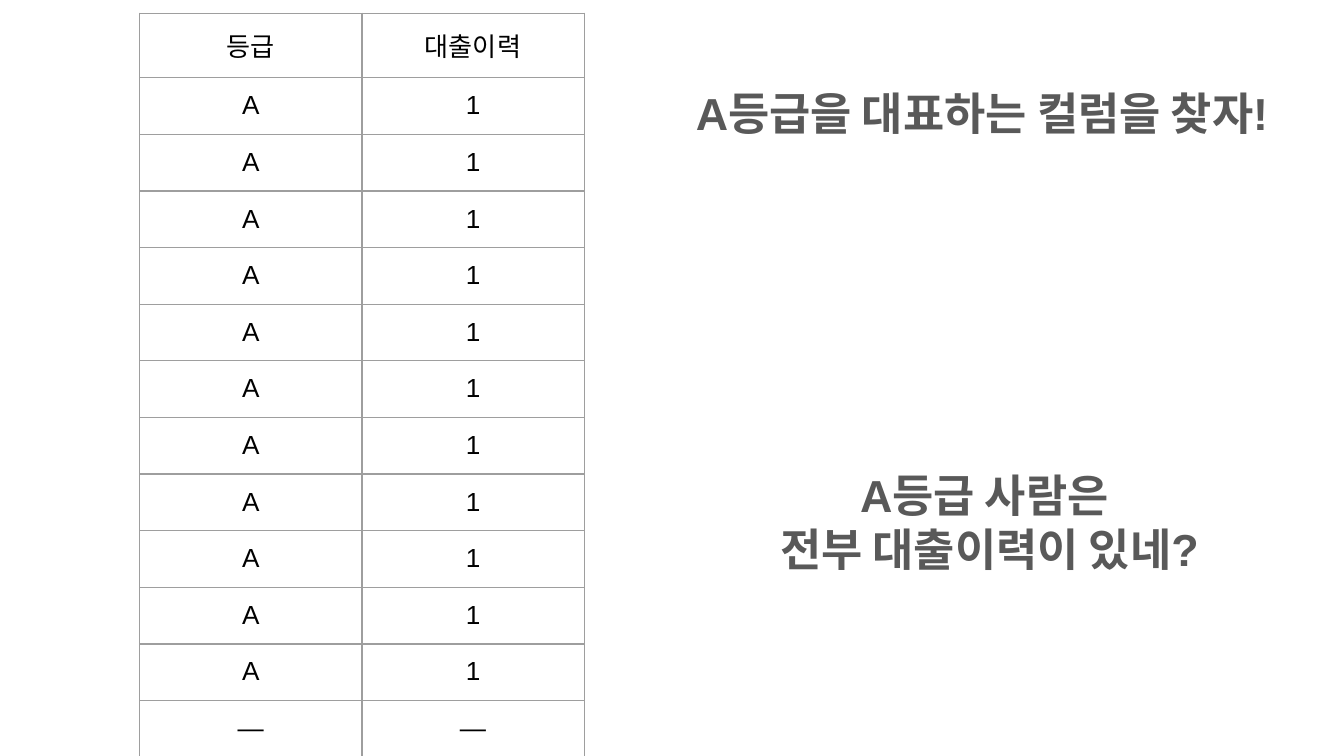
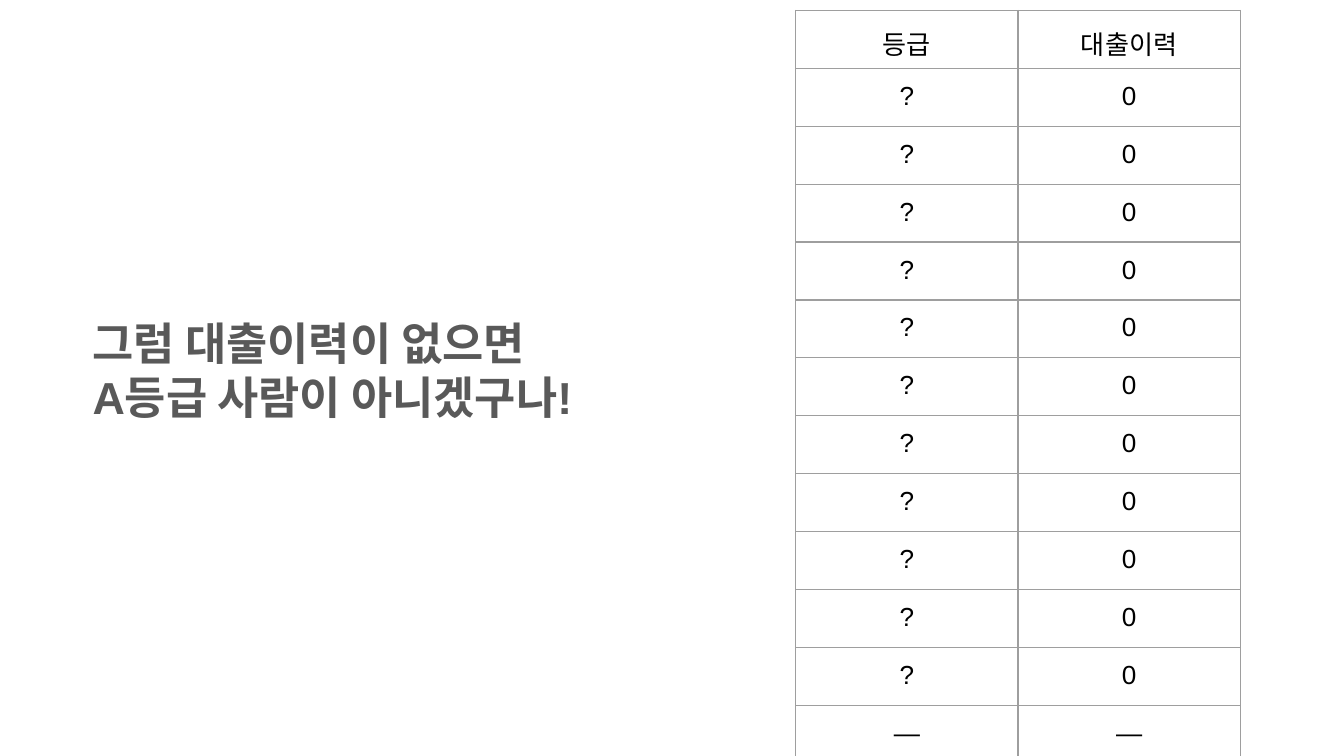
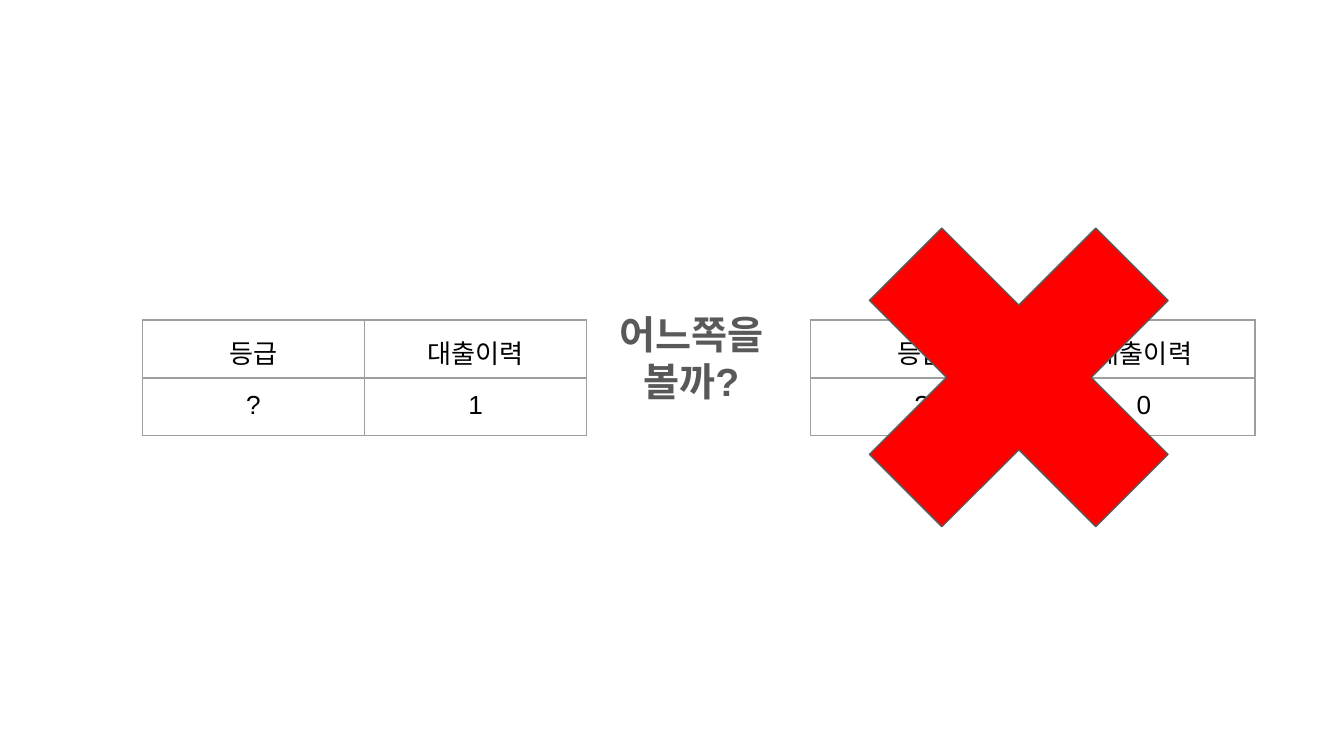
from dataclasses import dataclass

from lxml import etree
from pptx import Presentation
from pptx.dml.color import RGBColor
from pptx.enum.shapes import MSO_SHAPE
from pptx.enum.text import PP_ALIGN
from pptx.oxml.ns import qn
from pptx.slide import Slide
from pptx.table import _Cell
from pptx.text.text import TextFrame
from pptx.util import Cm, Pt

FONT = "Arial"
BLACK = RGBColor(0x00, 0x00, 0x00)
GRAY = RGBColor(0x59, 0x59, 0x59)
BORDER = RGBColor(0x9E, 0x9E, 0x9E)
RED = RGBColor(0xFF, 0x00, 0x00)
LEFT, CENTER = PP_ALIGN.LEFT, PP_ALIGN.CENTER
CROSS = MSO_SHAPE.MATH_MULTIPLY

INSET = Cm(0.25)
HAIRLINE = Pt(0.75)
COLUMN_WIDTH = Cm(4.2)
ROW_HEIGHT = Cm(1.07)
BLANK_LAYOUT = 6
HEADER = ("등급", "대출이력")
ELLIPSIS_ROW = ("—", "—")
SAMPLE_COUNT = 11


@dataclass(frozen=True)
class GradeTable:
    left: float
    top: float
    rows: list[tuple[str, str]]


@dataclass(frozen=True)
class Message:
    """A remark in bold; lengths in centimetres."""

    left: float
    top: float
    width: float
    height: float
    text: str
    align: PP_ALIGN = CENTER
    size: float = 24


def format_text(frame: TextFrame, size: float, color: RGBColor, align: PP_ALIGN, bold: bool) -> None:
    for paragraph in frame.paragraphs:
        paragraph.alignment = align
        font = paragraph.font
        font.name, font.size, font.bold = FONT, Pt(size), bold
        font.color.rgb = color


def add_borders(cell: _Cell) -> None:
    properties = cell._tc.get_or_add_tcPr()
    for side in ("a:lnL", "a:lnR", "a:lnT", "a:lnB"):
        line = etree.SubElement(properties, qn(side), w=str(int(HAIRLINE)))
        fill = etree.SubElement(line, qn("a:solidFill"))
        etree.SubElement(fill, qn("a:srgbClr"), val=str(BORDER))


def add_grade_table(page: Slide, spec: GradeTable) -> None:
    rows = [HEADER, *spec.rows]
    table = page.shapes.add_table(
        len(rows), len(HEADER), Cm(spec.left), Cm(spec.top),
        COLUMN_WIDTH * len(HEADER), ROW_HEIGHT * len(rows),
    ).table
    table.first_row = table.horz_banding = False
    for row_index, values in enumerate(rows):
        for column_index, value in enumerate(values):
            cell = table.cell(row_index, column_index)
            cell.text = value
            cell.margin_left = cell.margin_right = INSET
            cell.margin_top = cell.margin_bottom = INSET
            add_borders(cell)
            cell.fill.background()
            format_text(cell.text_frame, 14, BLACK, CENTER, False)


def add_message(page: Slide, message: Message) -> None:
    box = page.shapes.add_textbox(
        Cm(message.left), Cm(message.top), Cm(message.width), Cm(message.height)
    )
    frame = box.text_frame
    frame.word_wrap = True
    frame.margin_left = frame.margin_right = INSET
    frame.margin_top = frame.margin_bottom = INSET
    frame.text = message.text
    format_text(frame, message.size, GRAY, message.align, True)


def add_cross(page: Slide) -> None:
    cross = page.shapes.add_shape(CROSS, Cm(15.14), Cm(3.02), Cm(8.23), Cm(8.23))
    cross.adjustments[0] = 0.235
    cross.shadow.inherit = False
    cross.fill.solid()
    cross.fill.fore_color.rgb = RED
    cross.line.color.rgb = GRAY
    cross.line.width = HAIRLINE


def sample_rows(grade: str, loan: str) -> list[tuple[str, str]]:
    return [(grade, loan)] * SAMPLE_COUNT + [ELLIPSIS_ROW]


PAGES = [
    [
        GradeTable(2.64, 0.25, sample_rows("A", "1")),
        Message(12.9, 1.37, 11.6, 4.11, "A등급을 대표하는 컬럼을 찾자!", LEFT),
        Message(12.9, 8.59, 11.6, 4.11, "A등급 사람은 \v전부 대출이력이 있네?"),
    ],
    [
        GradeTable(15.04, 0.2, sample_rows("?", "0")),
        Message(1.5, 5.72, 11.6, 4.11, "그럼 대출이력이 없으면\nA등급 사람이 아니겠구나!", LEFT),
    ],
    [
        GradeTable(2.69, 6.05, [("?", "1")]),
        GradeTable(15.32, 6.05, [("?", "0")]),
        Message(11.4, 5.61, 3.33, 4.5, "어느쪽을\n볼까?", size=21),
    ],
]


def main() -> None:
    deck = Presentation()
    deck.slide_width, deck.slide_height = Cm(25.4), Cm(14.29)
    for items in PAGES:
        page = deck.slides.add_slide(deck.slide_layouts[BLANK_LAYOUT])
        for item in items:
            if isinstance(item, GradeTable):
                add_grade_table(page, item)
            else:
                add_message(page, item)
    add_cross(page)
    deck.save("out.pptx")


if __name__ == "__main__":
    main()
